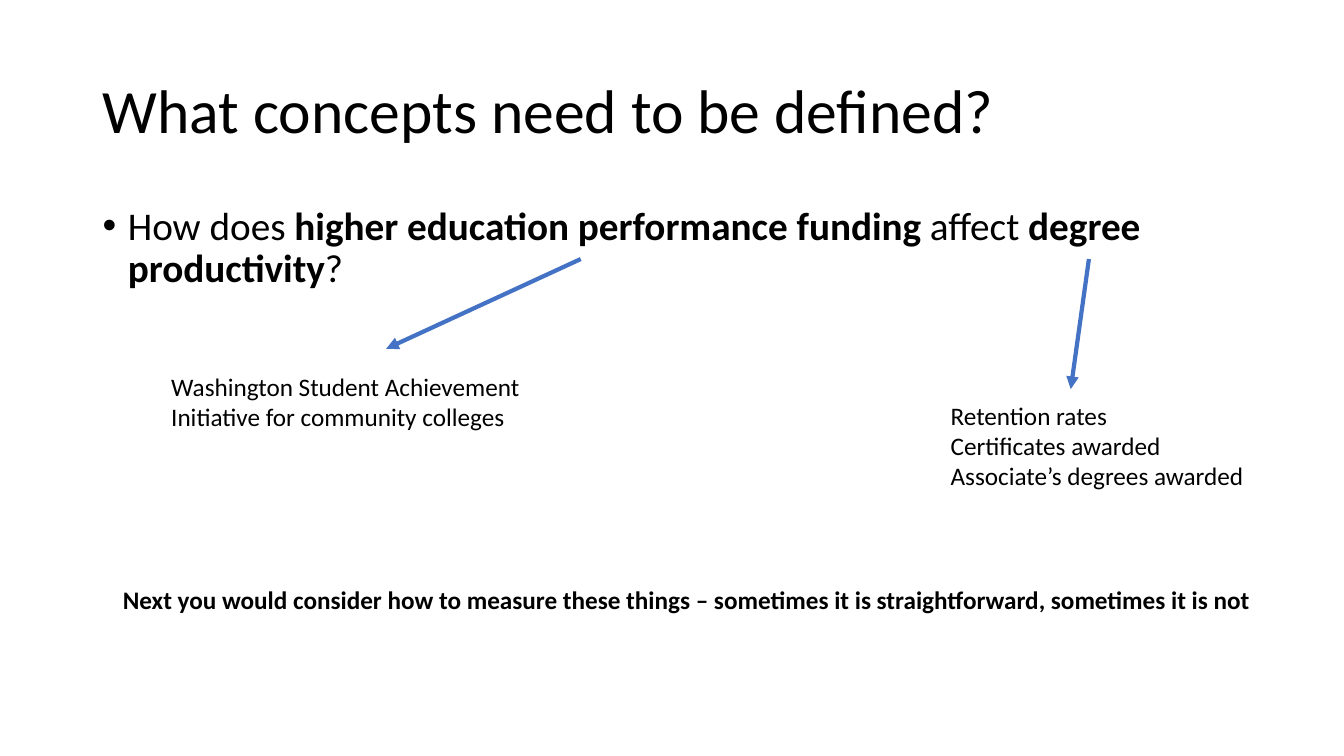
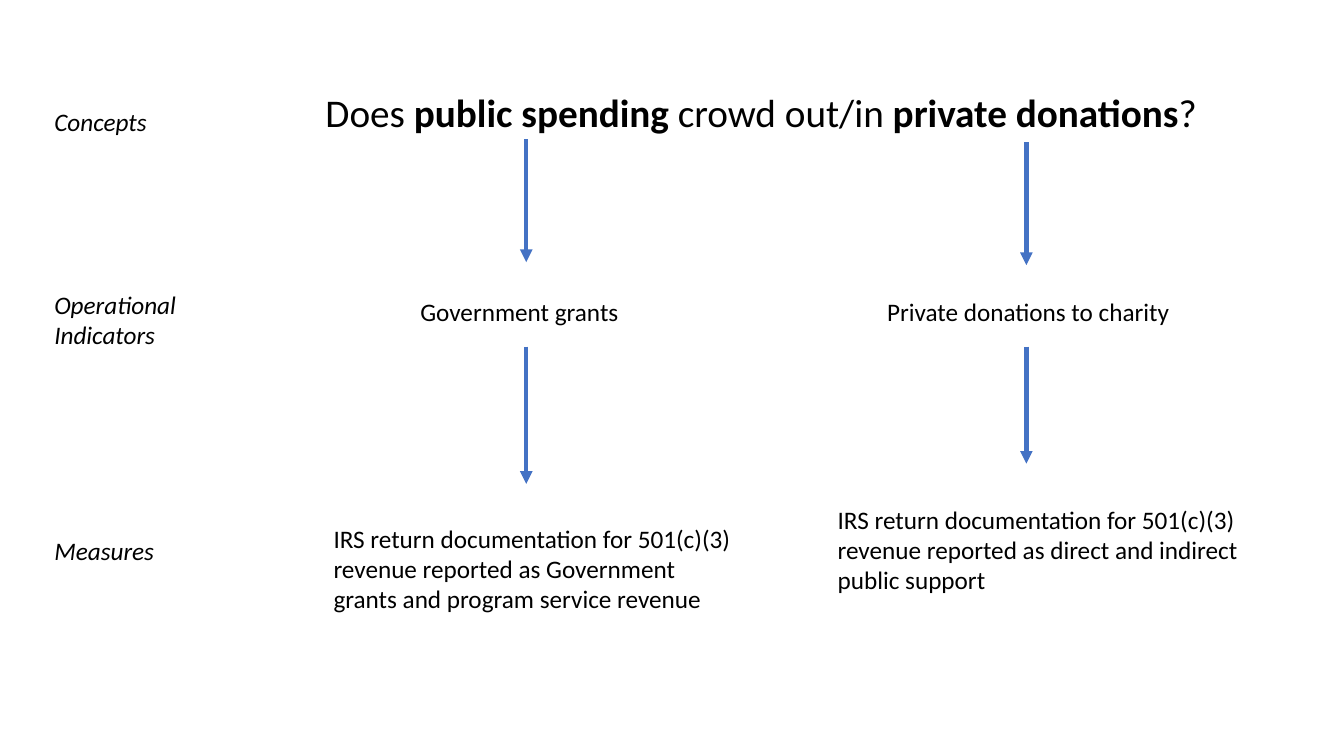
from lxml import etree
from pptx import Presentation
from pptx.dml.color import RGBColor
from pptx.enum.shapes import MSO_CONNECTOR as Connector
from pptx.enum.text import MSO_ANCHOR as Anchor, PP_ALIGN as Align
from pptx.oxml.ns import qn
from pptx.util import Inches, Pt

COLORS = {"text": "000000", "arrow": "4472C4"}
FONT = "Calibri"
TITLE_SIZE, QUESTION_SIZE, NOTE_SIZE = 44, 28, 18


def write_text(shape, text, size=NOTE_SIZE, bold=False, italic=False,
               spacing=1.0, bullet=False, anchor=Anchor.TOP):
    frame = shape.text_frame
    frame.word_wrap = True
    frame.vertical_anchor = anchor
    for index, line in enumerate(text.split("\n")):
        paragraph = frame.add_paragraph() if index else frame.paragraphs[0]
        paragraph.alignment = Align.LEFT
        paragraph.line_spacing = spacing
        if bullet:
            properties = paragraph._p.get_or_add_pPr()
            properties.set("marL", str(Inches(0.25)))
            properties.set("indent", str(-Inches(0.25)))
            etree.SubElement(properties, qn("a:buFont")).set("typeface", "Arial")
            etree.SubElement(properties, qn("a:buChar")).set("char", "•")
        for part, words in enumerate(line.split("*")):
            run = paragraph.add_run()
            run.text = words
            run.font.name = FONT
            run.font.size = Pt(size)
            run.font.bold = bold or part % 2 == 1
            run.font.italic = italic
            run.font.color.rgb = RGBColor.from_string(COLORS["text"])


def add_arrow(slide, *ends):
    arrow = slide.shapes.add_connector(Connector.STRAIGHT, *map(Inches, ends))
    arrow.line.color.rgb = RGBColor.from_string(COLORS["arrow"])
    arrow.line.width = Pt(3)
    etree.SubElement(arrow.line._get_or_add_ln(), qn("a:tailEnd")).set("type", "triangle")
    etree.SubElement(arrow._element.spPr, qn("a:effectLst"))


presentation = Presentation()
presentation.slide_width = Inches(13.33)
presentation.slide_height = Inches(7.5)
title_only, blank = presentation.slide_layouts[5], presentation.slide_layouts[6]

concepts_slide = presentation.slides.add_slide(title_only)
title = concepts_slide.shapes.title
title.left, title.top, title.width, title.height = map(Inches, (0.92, 0.4, 11.5, 1.45))
write_text(title, "What concepts need to be defined?", size=TITLE_SIZE,
           spacing=0.9, anchor=Anchor.MIDDLE)

measures_slide = presentation.slides.add_slide(blank)

question = {"size": QUESTION_SIZE, "spacing": 0.9}
row_label = {"italic": True}
texts = [
    (concepts_slide, (0.92, 2, 11.5, 1),
     "How does *higher education performance funding *affect *degree productivity*?",
     {**question, "bullet": True}),
    (concepts_slide, (1.6, 3.63, 4.33, 0.71),
     "Washington Student Achievement Initiative for community colleges", {}),
    (concepts_slide, (9.33, 3.92, 3.28, 1.01),
     "Retention rates\nCertificates awarded\nAssociate’s degrees awarded", {}),
    (concepts_slide, (1.12, 5.75, 11.58, 0.4),
     "Next you would consider how to measure these things – "
     "sometimes it is straightforward, sometimes it is not", {"bold": True}),
    (measures_slide, (3.13, 0.88, 9.5, 0.6),
     "Does *public spending *crowd out/in *private donations*?", question),
    (measures_slide, (4.07, 2.89, 2.3, 0.4), "Government grants", {}),
    (measures_slide, (8.7, 2.89, 3.28, 0.4), "Private donations to charity", {}),
    (measures_slide, (3.21, 5.14, 4.27, 1.01),
     "IRS return documentation for 501(c)(3) revenue reported as "
     "Government grants and program service revenue", {}),
    (measures_slide, (8.21, 4.95, 4.27, 1.01),
     "IRS return documentation for 501(c)(3) revenue reported as "
     "direct and indirect public support", {}),
    (measures_slide, (0.44, 1.01, 2.3, 0.4), "Concepts", row_label),
    (measures_slide, (0.44, 2.82, 2.3, 0.71), "Operational Indicators", row_label),
    (measures_slide, (0.44, 5.26, 2.3, 0.4), "Measures", row_label),
]
for slide, box, text, style in texts:
    write_text(slide.shapes.add_textbox(*map(Inches, box)), text, **style)

add_arrow(concepts_slide, 5.76, 2.57, 3.83, 3.46)
add_arrow(concepts_slide, 10.8, 2.57, 10.62, 3.86)

columns = {5.22: [(1.38, 2.6), (3.44, 4.8)], 10.18: [(1.41, 2.63), (3.44, 4.6)]}
for x, spans in columns.items():
    for top, bottom in spans:
        add_arrow(measures_slide, x, top, x, bottom)

presentation.save("out.pptx")
